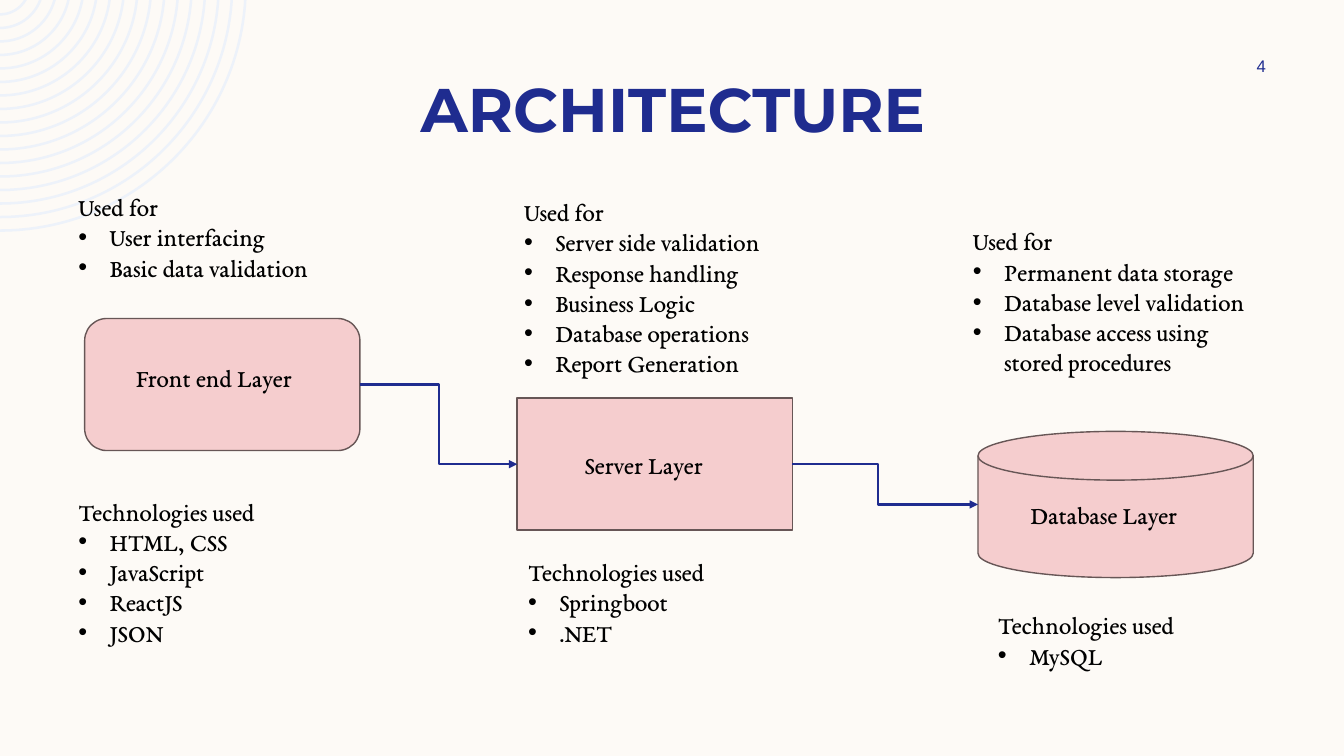
from math import asin, cos, pi, sin, tan

from lxml.etree import SubElement
from pptx import Presentation
from pptx.dml.color import RGBColor
from pptx.enum.shapes import MSO_CONNECTOR, MSO_SHAPE
from pptx.enum.text import MSO_ANCHOR, PP_ALIGN
from pptx.oxml.ns import qn
from pptx.util import Inches, Pt

CREAM = RGBColor(0xFD, 0xFA, 0xF6)
PALE_BLUE = RGBColor(0xED, 0xF2, 0xFA)
NAVY = RGBColor(0x1F, 0x2C, 0x8F)
PINK = RGBColor(0xF5, 0xCD, 0xCE)
BROWN = RGBColor(0x67, 0x56, 0x56)
BLACK = RGBColor(0, 0, 0)

BODY_FONT = "EB Garamond"
BODY_SIZE = 18
LAYER_WIDTH = 2.73
LIST_WIDTH = 3.06
BULLET_INDENT = 0.31


def arc_points(r, rise):
    """Bezier points of an arc from the top edge to the left edge of the slide."""
    start = asin(rise / r)
    reach = 4 / 3 * tan((pi / 2 - start) / 4) * r
    x, y = r * cos(start), r * sin(start)
    points = [(x, y), (x - reach * sin(start), y + reach * cos(start)),
              (reach, r), (0, r)]
    return [(Inches(px), Inches(py - rise)) for px, py in points]


def curve_arcs(shape):
    """Turn the two runs of three lines in each band into Bezier curves."""
    for outline in shape._element.iter(qn("a:path")):
        lines = outline.findall(qn("a:lnTo"))
        for i in range(0, len(lines), 7):
            for first in (i, i + 4):
                curve = SubElement(outline, qn("a:cubicBezTo"))
                lines[first].addprevious(curve)
                for line in lines[first:first + 3]:
                    curve.append(line[0])
                    outline.remove(line)


class ArchitectureSlide:
    def __init__(self, prs):
        self.slide = prs.slides.add_slide(prs.slide_layouts[6])
        self.shapes = self.slide.shapes
        fill = self.slide.background.fill
        fill.solid()
        fill.fore_color.rgb = CREAM

    def rings(self, count=17, radius=2.45, step=0.134, band=0.025, rise=0.15):
        """Draw concentric bands around a point just above the top left corner."""
        builder = None
        for k in range(count):
            outer = radius - k * step
            points = arc_points(outer, rise) + arc_points(outer - band, rise)[::-1]
            if builder is None:
                builder = self.shapes.build_freeform(*points[0])
            else:
                builder.move_to(*points[0])
            builder.add_line_segments(points[1:], close=False)
            builder.add_line_segments([], close=True)
        s = builder.convert_to_shape()
        curve_arcs(s)
        s.shadow.inherit = False
        s.fill.solid()
        s.fill.fore_color.rgb = PALE_BLUE
        s.line.fill.background()

    def text(self, box, lines, font=BODY_FONT, size=BODY_SIZE, color=BLACK,
             bold=False, align=PP_ALIGN.LEFT, anchor=MSO_ANCHOR.TOP):
        tf = self.shapes.add_textbox(*map(Inches, box)).text_frame
        tf.word_wrap = True
        tf.vertical_anchor = anchor
        tf.text = "\n".join(lines)
        for p in tf.paragraphs:
            p.alignment = align
            f = p.runs[0].font
            f.name, f.size, f.bold = font, Pt(size), bold
            f.color.rgb = color
        return tf

    def bullet_list(self, left, top, height, heading, items):
        tf = self.text((left, top, LIST_WIDTH, height), [heading, *items])
        for p in tf.paragraphs[1:]:
            pPr = p._p.get_or_add_pPr()
            pPr.set("marL", str(Inches(BULLET_INDENT)))
            pPr.set("indent", str(-Inches(BULLET_INDENT)))
            SubElement(pPr, qn("a:buFont")).set("typeface", "Arial")
            SubElement(pPr, qn("a:buChar")).set("char", "•")

    def layer(self, kind, left, top, height, label, label_left, label_top):
        s = self.shapes.add_shape(
            kind, *map(Inches, (left, top, LAYER_WIDTH, height)))
        s.shadow.inherit = False
        s.fill.solid()
        s.fill.fore_color.rgb = PINK
        s.line.color.rgb = BROWN
        s.line.width = Pt(1)
        self.text((label_left, label_top, 1.92, 0.4), [label])
        return s

    def arrow(self, source, target, target_site, bend):
        """Join right side to left side, turning at the given share of the gap."""
        c = self.shapes.add_connector(MSO_CONNECTOR.ELBOW, 0, 0, 0, 0)
        c.begin_connect(source, 3)
        c.end_connect(target, target_site)
        c.end_x, c.end_y = target.left, target.top + target.height // 2
        c.line.color.rgb = NAVY
        c.line.width = Pt(1.5)
        spPr = c._element.spPr
        guide = SubElement(spPr.find(qn("a:prstGeom")).find(qn("a:avLst")), qn("a:gd"))
        guide.set("name", "adj1")
        guide.set("fmla", f"val {round(bend * 100000)}")
        SubElement(c.line._get_or_add_ln(), qn("a:tailEnd")).set("type", "triangle")
        SubElement(spPr, qn("a:effectLst"))


def main():
    prs = Presentation()
    prs.slide_width, prs.slide_height = Inches(13.33), Inches(7.5)
    s = ArchitectureSlide(prs)

    s.rings()
    s.text((0.84, 0.65, 11.67, 0.84), ["ARCHITECTURE"], "Montserrat", 44, NAVY,
           bold=True, align=PP_ALIGN.CENTER, anchor=MSO_ANCHOR.BOTTOM)
    s.text((11.97, 0.5, 1.08, 0.3), ["4"], "Arial", 12, NAVY,
           align=PP_ALIGN.CENTER, anchor=MSO_ANCHOR.MIDDLE)

    front_end = s.layer(MSO_SHAPE.ROUNDED_RECTANGLE, 0.84, 3.16, 1.31,
                        "Front end Layer", 1.25, 3.55)
    server = s.layer(MSO_SHAPE.RECTANGLE, 5.13, 3.95, 1.31,
                     "Server Layer", 5.7, 4.41)
    database = s.layer(MSO_SHAPE.FLOWCHART_MAGNETIC_DISK, 9.7, 4.28, 1.45,
                       "Database Layer", 10.12, 4.9)

    purposes = [
        (0.68, 1.85, 1.31, ["User interfacing", "Basic data validation"]),
        (5.1, 1.9, 1.92, ["Server side validation", "Response handling",
                          "Business Logic", "Database operations",
                          "Report Generation"]),
        (9.55, 2.19, 1.92, ["Permanent data storage", "Database level validation",
                            "Database access using stored procedures"]),
    ]
    technologies = [
        (0.68, 4.87, 2.22, ["HTML, CSS", "JavaScript", "ReactJS", "JSON"]),
        (5.14, 5.47, 1.31, ["Springboot", ".NET"]),
        (9.8, 6, 1.01, ["MySQL"]),
    ]
    for heading, lists in (("Used for", purposes), ("Technologies used", technologies)):
        for left, top, height, items in lists:
            s.bullet_list(left, top, height, heading, items)

    s.arrow(front_end, server, target_site=1, bend=0.5)
    s.arrow(server, database, target_site=2, bend=0.46)

    prs.save("out.pptx")


if __name__ == "__main__":
    main()
